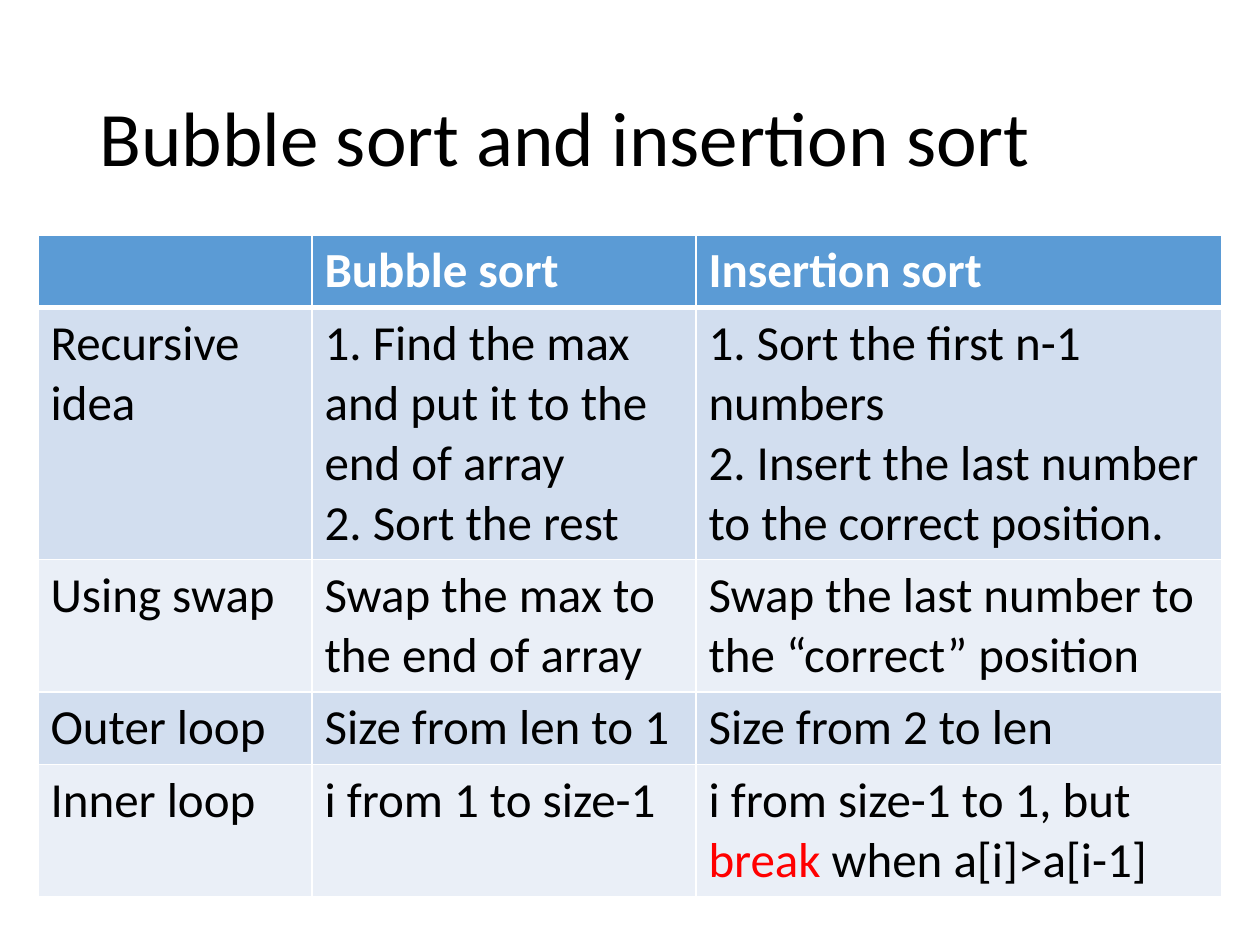
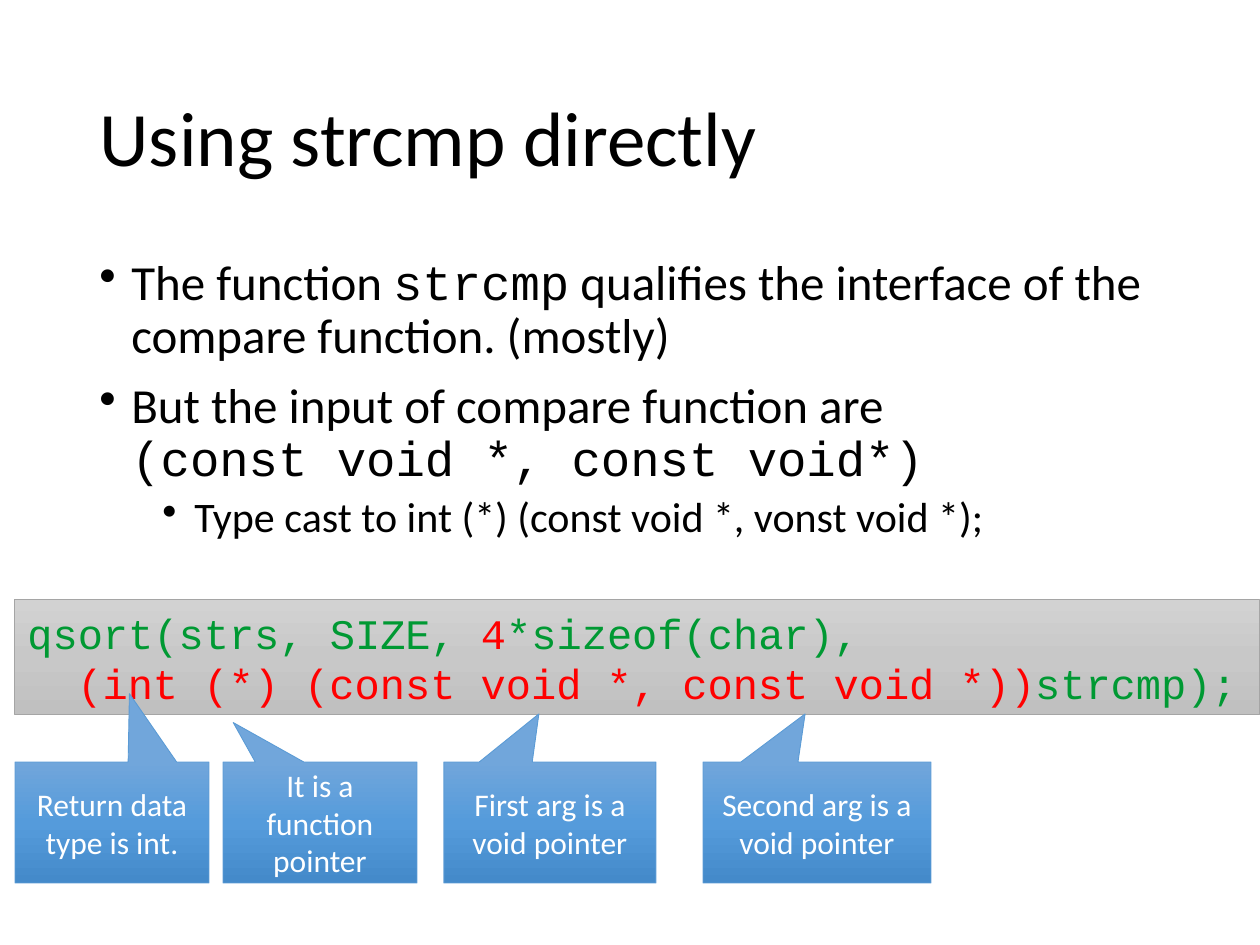
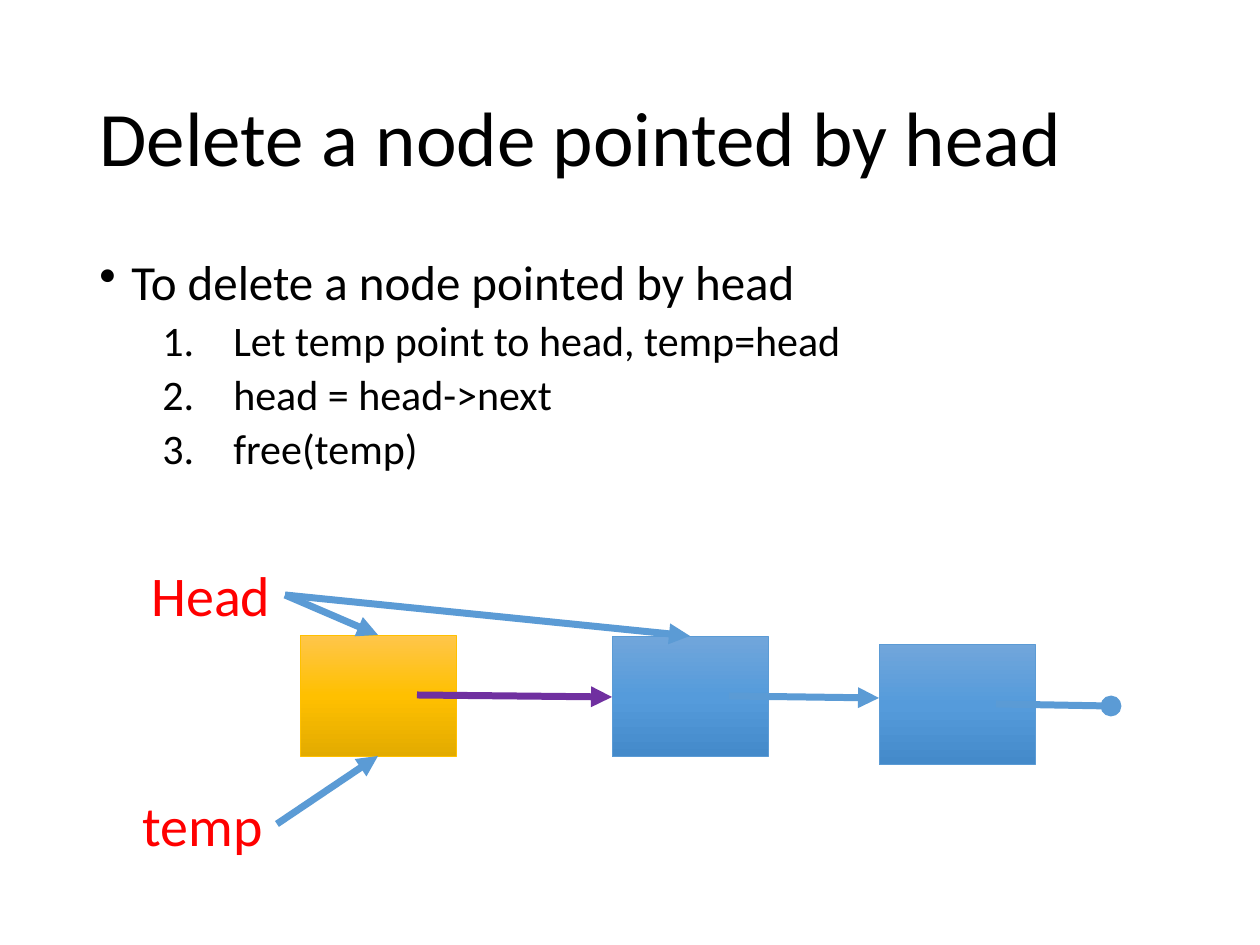
"""Build three programming-course slides on sorting, qsort and linked lists."""
from collections import namedtuple

from pptx import Presentation
from pptx.dml.color import RGBColor
from pptx.enum.shapes import MSO_CONNECTOR as Link, MSO_SHAPE as Preset
from pptx.enum.text import MSO_ANCHOR as Anchor, MSO_AUTO_SIZE as Fit, PP_ALIGN as Align
from pptx.oxml import parse_xml
from pptx.oxml.ns import nsdecls, qn
from pptx.util import Emu, Pt

PX = 914400 / 126
BLACK = RGBColor(0x00, 0x00, 0x00)
WHITE = RGBColor(0xFF, 0xFF, 0xFF)
RED = RGBColor(0xFF, 0x00, 0x00)
GREEN = RGBColor(0x00, 0x99, 0x33)
PURPLE = RGBColor(0x70, 0x30, 0xA0)
BLUE = RGBColor(0x5B, 0x9B, 0xD5)
GOLD = RGBColor(0xFF, 0xC0, 0x00)
GRAY = RGBColor(0xA5, 0xA5, 0xA5)
BAND_DARK = RGBColor(0xD2, 0xDE, 0xEF)
BAND_LIGHT = RGBColor(0xEA, 0xEF, 0xF7)
SHADES = {
    BLUE: (RGBColor(0x71, 0xA6, 0xDB), RGBColor(0x55, 0x9B, 0xDB), RGBColor(0x44, 0x8A, 0xCA)),
    GOLD: (RGBColor(0xFF, 0xC6, 0x4B), GOLD, RGBColor(0xE3, 0xAB, 0x00)),
    GRAY: (RGBColor(0xD2, 0xD2, 0xD2), RGBColor(0xC8, 0xC8, 0xC8), RGBColor(0xC0, 0xC0, 0xC0)),
}
SANS, MONO = "Calibri", "Courier New"
DOT = '<a:buChar {} char="•"/>'
NUMBER = '<a:buAutoNum {} type="arabicPeriod"/>'

Span = namedtuple("Span", "text color font", defaults=(None, None))
Item = namedtuple("Item", "spans size before level left hang bullet")


def px(*lengths):
    """Turn px lengths into EMU."""
    return [Emu(round(length * PX)) for length in lengths]


def point(*spans):
    """Describe a first-level bullet."""
    return Item(spans, 28, 10, 0, 32, 32, DOT)


def subpoint(text, left=95, hang=32, bullet=DOT):
    """Describe a second-level bullet."""
    return Item([text], 24, 5, 1, left, hang, bullet)


class Deck:
    """Holds the shared style and the slide being built."""

    def __init__(self):
        self.prs = Presentation()
        self.prs.slide_width, self.prs.slide_height = px(1260, 945)
        self.slide = None

    def fill_line(self, paragraph, spans, size, color=BLACK, font=SANS, bold=False):
        """Fill a paragraph with plain strings and styled spans."""
        for span in spans:
            if span == "\n":
                paragraph.add_line_break()
                continue
            if isinstance(span, str):
                span = Span(span)
            run = paragraph.add_run()
            run.text = span.text
            run.font.size = Pt(size)
            run.font.bold = bold
            run.font.name = span.font or font
            run.font.color.rgb = span.color or color

    def paragraphs(self, frame, contents):
        """Pair each content with a paragraph of the frame."""
        for index, content in enumerate(contents):
            yield frame.add_paragraph() if index else frame.paragraphs[0], content

    def start(self, heading):
        """Add a slide with its title."""
        self.slide = self.prs.slides.add_slide(self.prs.slide_layouts[5])
        title = self.slide.shapes.title
        title.left, title.top, title.width, title.height = px(87, 50, 1086, 183)
        frame = title.text_frame
        frame.auto_size = Fit.NONE
        frame.vertical_anchor = Anchor.MIDDLE
        line = frame.paragraphs[0]
        line.alignment, line.line_spacing = Align.LEFT, 0.9
        self.fill_line(line, [heading], 44)

    def body(self, items):
        """Add the bulleted body text."""
        frame = self.slide.shapes.add_textbox(*px(87, 252, 1086, 600)).text_frame
        frame.word_wrap = True
        for line, item in self.paragraphs(frame, items):
            line.level, line.line_spacing, line.space_before = item.level, 0.9, Pt(item.before)
            self.fill_line(line, item.spans, item.size)
            self.indent(line, item.left, item.hang)
            line._p.pPr.append(parse_xml(item.bullet.format(nsdecls("a"))))

    def indent(self, paragraph, left, hang=0):
        """Set the left margin and hanging indent of a paragraph."""
        margin, first = px(left, -hang)
        props = paragraph._p.get_or_add_pPr()
        props.set("marL", str(margin))
        props.set("indent", str(first))

    def box(self, preset, bounds, tone):
        """Add a preset shape with a vertical gradient and thin outline."""
        shape = self.slide.shapes.add_shape(preset, *px(*bounds))
        shape.shadow.inherit = False
        shape.line.color.rgb, shape.line.width = tone, Pt(0.5)
        shape.fill.background()
        stops = "".join(f'<a:gs pos="{index * 50000}"><a:srgbClr val="{shade}"/></a:gs>'
                        for index, shade in enumerate(SHADES[tone]))
        gradient = parse_xml(f'<a:gradFill {nsdecls("a")} rotWithShape="1"><a:gsLst>{stops}'
                             '</a:gsLst><a:lin ang="5400000" scaled="0"/></a:gradFill>')
        props = shape.element.spPr
        props.replace(props.find(qn("a:noFill")), gradient)
        shape.text_frame.vertical_anchor = Anchor.MIDDLE
        return shape

    def code(self, bounds, lines):
        """Add a code panel whose continuation lines are indented."""
        frame = self.box(Preset.RECTANGLE, bounds, GRAY).text_frame
        frame.word_wrap = True
        for index, (line, spans) in enumerate(self.paragraphs(frame, lines)):
            line.alignment = Align.LEFT
            self.indent(line, 50 * index)
            self.fill_line(line, spans, 24, GREEN, MONO)

    def callout(self, bounds, tip, text):
        """Add a speech callout pointing at its tip."""
        bubble = self.box(Preset.RECTANGULAR_CALLOUT, bounds, BLUE)
        bubble.adjustments[0], bubble.adjustments[1] = tip
        line = bubble.text_frame.paragraphs[0]
        line.alignment = Align.CENTER
        self.fill_line(line, [text], 18, WHITE)

    def label(self, bounds, text):
        """Add a red pointer name."""
        frame = self.slide.shapes.add_textbox(*px(*bounds)).text_frame
        frame.word_wrap = False
        self.fill_line(frame.paragraphs[0], [text], 32, RED)

    def arrow(self, start, end, color=BLUE, tip="triangle"):
        """Add a thick connector with a tip at its end."""
        link = self.slide.shapes.add_connector(Link.STRAIGHT, *px(*start, *end))
        link.line.color.rgb, link.line.width = color, Pt(4)
        props = link.element.spPr
        props.find(qn("a:ln")).append(parse_xml(f'<a:tailEnd {nsdecls("a")} type="{tip}"/>'))
        props.append(parse_xml(f'<a:effectLst {nsdecls("a")}/>'))

    def edges(self, cell, top, bottom):
        """Draw the white borders of a cell."""
        for side, width in zip("LRTB", (1, 1, top, bottom)):
            cell._tc.get_or_add_tcPr().append(parse_xml(
                f'<a:ln{side} {nsdecls("a")} w="{Pt(width)}"><a:solidFill>'
                f'<a:srgbClr val="{WHITE}"/></a:solidFill></a:ln{side}>'))

    def table(self, corner, widths, line_counts, rows):
        """Add a banded table with a header row."""
        heights = [60 * count + 12 for count in line_counts]
        bounds = px(*corner, sum(widths), sum(heights))
        grid = self.slide.shapes.add_table(len(rows), len(widths), *bounds).table
        for column, width in zip(grid.columns, px(*widths)):
            column.width = width
        for r, (row, height) in enumerate(zip(rows, px(*heights))):
            grid.rows[r].height = height
            header = r == 0
            for c, lines in enumerate(row):
                cell = grid.cell(r, c)
                self.edges(cell, 3 if r == 1 else 1, 3 if header else 1)
                cell.fill.solid()
                cell.fill.fore_color.rgb = BLUE if header else (BAND_LIGHT, BAND_DARK)[r % 2]
                for line, spans in self.paragraphs(cell.text_frame, lines):
                    self.fill_line(line, spans, 28, WHITE if header else BLACK, bold=header)


def sorting(deck):
    """Compare the two sorts."""
    deck.start("Bubble sort and insertion sort")
    deck.table((38, 235), (274, 384, 526), (1, 4, 2, 1, 2), [
        [[], [["Bubble sort"]], [["Insertion sort"]]],
        [[["Recursive idea"]],
         [["1. Find the max and put it to the end of array"], ["2. Sort the rest"]],
         [["1. Sort the first n-1 numbers"],
          ["2. Insert the last number to the correct position."]]],
        [[["Using swap"]], [["Swap the max to the end of array"]],
         [["Swap the last number to the “correct” position"]]],
        [[["Outer loop"]], [["Size from len to 1"]], [["Size from 2 to len"]]],
        [[["Inner loop"]], [["i from 1 to size-1"]],
         [["i from size-1 to 1, but ", Span("break", RED), " when a[i]>a[i-1]"]]],
    ])


def comparing(deck):
    """Explain the cast of strcmp."""
    deck.start("Using strcmp directly")
    deck.body([
        point("The function ", Span("strcmp", font=MONO),
              " qualifies the interface of the compare function. (mostly)"),
        point("But the input of compare function are ", "\n",
              Span("(const void *, const void*)", font=MONO)),
        subpoint("Type cast to int (*) (const void *, vonst void *);"),
    ])
    deck.code((15, 600, 1245, 115), [
        ["qsort(strs, SIZE, ", Span("4", RED), "*sizeof(char),"],
        [Span("(int (*) (const void *, const void *))", RED), "strcmp);"],
    ])
    for left, width, tip, text in (
        (223, 194, (-0.447, -0.826), "It is a function pointer"),
        (15, 194, (0.09, -1.065), "Return data type is int."),
        (444, 212, (-0.052, -0.898), "First arg is a void pointer"),
        (703, 228, (-0.052, -0.898), "Second arg is a void pointer"),
    ):
        deck.callout((left, 762, width, 121), tip, text)


def deleting(deck):
    """Show the removal of the first list node."""
    deck.start("Delete a node pointed by head")
    steps = ("Let temp point to head, temp=head", "head = head->next", "free(temp)")
    deck.body([point("To delete a node pointed by head"),
               *(subpoint(step, 134, 71, NUMBER) for step in steps)])
    width, height = 156, 121
    nodes = [(300, 635, GOLD, PURPLE, "triangle"),
             (612, 636, BLUE, BLUE, "triangle"),
             (879, 644, BLUE, BLUE, "oval")]
    targets = [nodes[1][0], nodes[2][0], 1111]
    for (left, top, tone, color, tip), target in zip(nodes, targets):
        deck.box(Preset.RECTANGLE, (left, top, width, height), tone)
        deck.arrow((left + 117, top + 60), (target, top + 62), color, tip)
    for left, top, *_ in nodes[:2]:
        deck.arrow((285, 595), (left + width // 2, top))
    first_left, first_top = nodes[0][:2]
    deck.arrow((277, 824), (first_left + width // 2, first_top + height))
    deck.label((139, 554, 146, 81), "Head")
    deck.label((130, 784, 147, 81), "temp")


def main():
    """Build and save the slides."""
    deck = Deck()
    for build in (sorting, comparing, deleting):
        build(deck)
    deck.prs.save("out.pptx")


if __name__ == "__main__":
    main()
